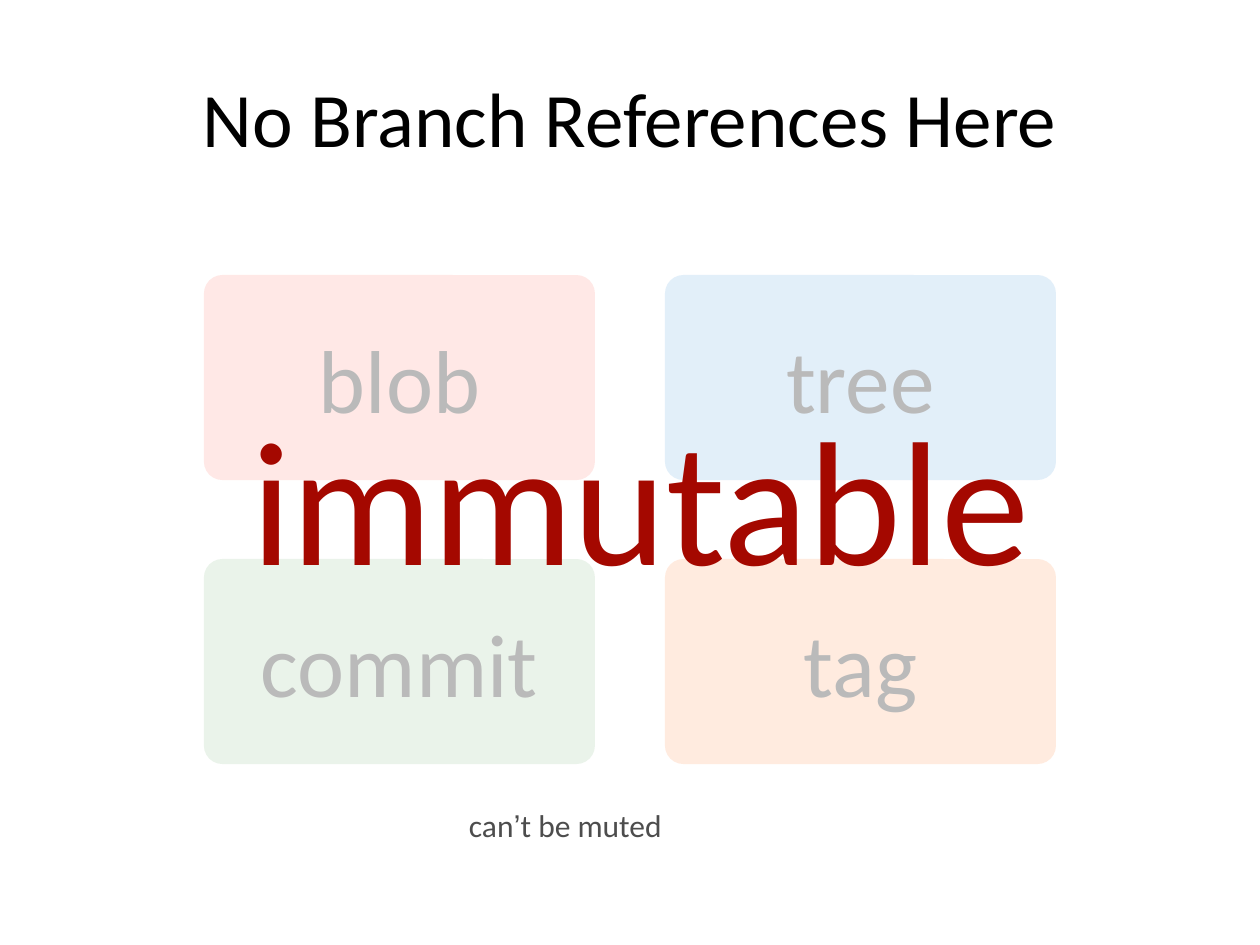
from dataclasses import dataclass

from lxml import etree
from pptx import Presentation
from pptx.dml.color import RGBColor
from pptx.enum.shapes import MSO_SHAPE
from pptx.enum.text import MSO_ANCHOR, MSO_AUTO_SIZE, PP_ALIGN
from pptx.oxml.ns import qn
from pptx.util import Emu, Pt

ROUNDED, RECT = MSO_SHAPE.ROUNDED_RECTANGLE, MSO_SHAPE.RECTANGLE
MIDDLE = MSO_ANCHOR.MIDDLE
CENTER, LEFT = PP_ALIGN.CENTER, PP_ALIGN.LEFT
FIT_SHAPE = MSO_AUTO_SIZE.SHAPE_TO_FIT_TEXT
EMU_PER_PX = 914400 / 126


@dataclass(frozen=True)
class Theme:
    """Fonts, colours and type sizes of the slide."""
    font: str = "Calibri"
    quote_font: str = "Arial"
    ink: str = "000000"
    muted: str = "4D4D4D"
    accent: str = "A40800"
    veil: str = "FFFFFF"
    red: str = "FFADA4"
    blue: str = "96C4EA"
    green: str = "B3D5B3"
    orange: str = "FFB78A"
    title_size: int = 44
    card_size: int = 51
    caption_size: int = 18
    stamp_size: int = 101


THEME = Theme()


def px(*values):
    """Turn pixel lengths into EMU."""
    return [Emu(round(v * EMU_PER_PX)) for v in values]


def add_run(p, text, size, color, font=THEME.font):
    """Append one formatted run to a paragraph."""
    r = p.add_run()
    r.text = text
    r.font.name = font
    r.font.size = Pt(size)
    r.font.color.rgb = RGBColor.from_string(color)


def clear_insets(tf):
    """Remove the insets of a text frame and anchor it in the middle."""
    tf.margin_left = tf.margin_right = tf.margin_top = tf.margin_bottom = 0
    tf.vertical_anchor = MIDDLE


def set_title(s, text, box):
    """Place and fill the title placeholder."""
    sp = s.shapes.title
    sp.left, sp.top, sp.width, sp.height = px(*box)
    tf = sp.text_frame
    tf.vertical_anchor = MIDDLE
    p = tf.paragraphs[0]
    p.alignment = CENTER
    add_run(p, text, THEME.title_size, THEME.ink)


def add_block(s, kind, box, color):
    """Add a filled shape without line or shadow."""
    sp = s.shapes.add_shape(kind, *px(*box))
    sp.shadow.inherit = False
    sp.fill.solid()
    sp.fill.fore_color.rgb = RGBColor.from_string(color)
    sp.line.fill.background()
    return sp


def add_card(s, text, box, color):
    """Add a rounded card with a centred label."""
    sp = add_block(s, ROUNDED, box, color)
    sp.adjustments[0] = 0.09
    clear_insets(sp.text_frame)
    p = sp.text_frame.paragraphs[0]
    p.alignment = CENTER
    add_run(p, text, THEME.card_size, THEME.ink)


def add_veil(s, box, opacity):
    """Add a translucent rectangle that fades what lies below."""
    sp = add_block(s, RECT, box, THEME.veil)
    clr = sp.element.spPr.find(qn("a:solidFill"))[0]
    etree.SubElement(clr, qn("a:alpha")).set("val", str(opacity * 1000))


def add_label(s, runs, box, size, color):
    """Add an unwrapped text box from (text, font) runs."""
    tf = s.shapes.add_textbox(*px(*box)).text_frame
    clear_insets(tf)
    tf.word_wrap = False
    tf.auto_size = FIT_SHAPE
    p = tf.paragraphs[0]
    p.alignment = LEFT
    for text, font in runs:
        add_run(p, text, size, color, font)


def main():
    """Build and save the slide."""
    prs = Presentation()
    prs.slide_width, prs.slide_height = px(1260, 945)
    s = prs.slides.add_slide(prs.slide_layouts[5])
    set_title(s, "No Branch References Here", (63, 38, 1134, 158))

    left, top, width, height, col_step, row_step = 204, 275, 391, 205, 461, 284
    cards = [("commit", THEME.green, 0, 1), ("tag", THEME.orange, 1, 1),
             ("blob", THEME.red, 0, 0), ("tree", THEME.blue, 1, 0)]
    for text, color, col, row in cards:
        box = (left + col * col_step, top + row * row_step, width, height)
        add_card(s, text, box, color)

    caption = [("can", THEME.font), ("’", THEME.quote_font), ("t be muted", THEME.font)]
    add_label(s, caption, (469, 806, 204, 38), THEME.caption_size, THEME.muted)
    add_veil(s, (115, 226, 1026, 581), 73)
    add_label(s, [("immutable", THEME.font)], (251, 388, 789, 214),
              THEME.stamp_size, THEME.accent)
    prs.save("out.pptx")


if __name__ == "__main__":
    main()
